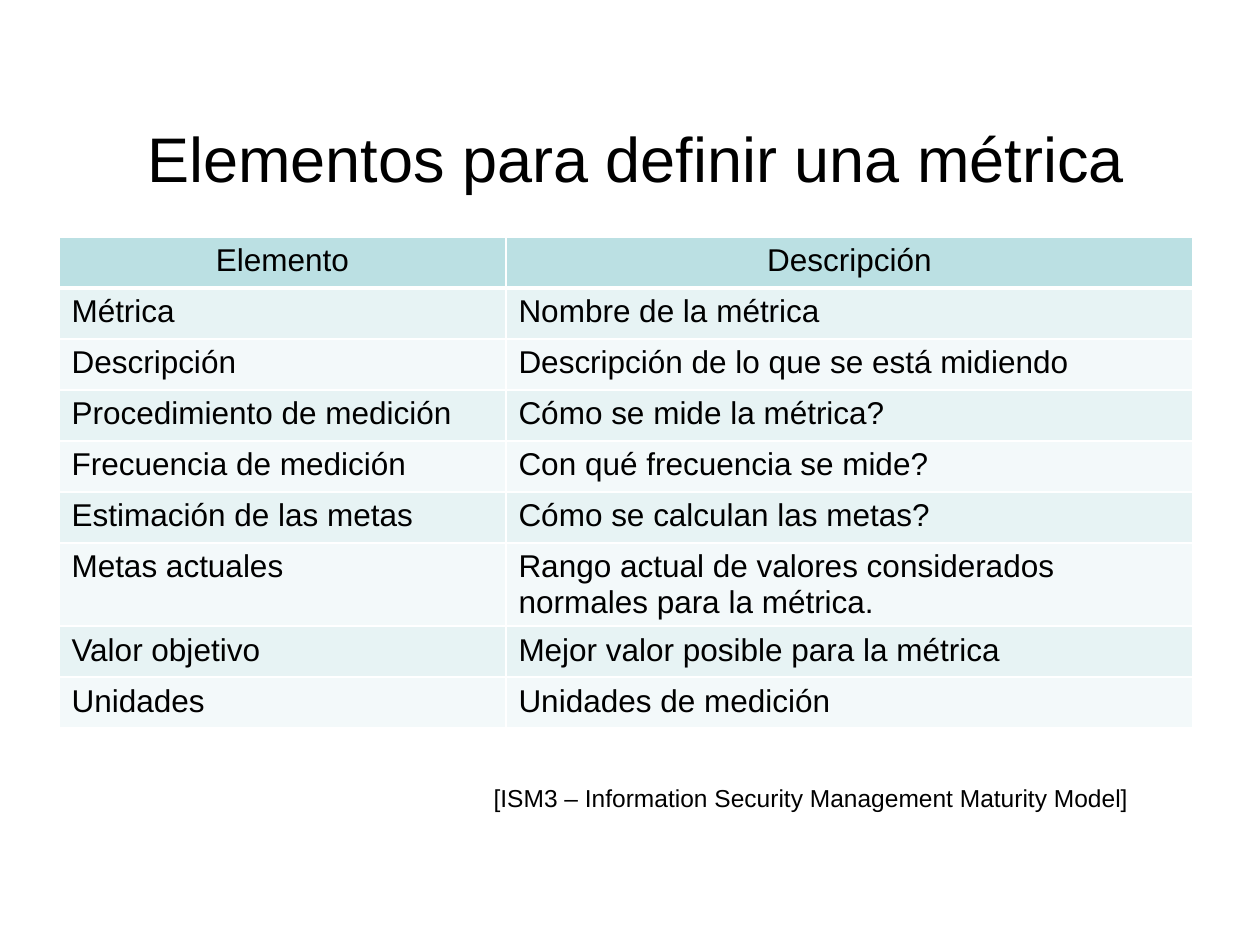
from lxml import etree
from pptx import Presentation
from pptx.dml.color import RGBColor
from pptx.enum.text import MSO_ANCHOR, PP_ALIGN
from pptx.oxml.ns import qn
from pptx.util import Emu, Pt

LEFT, CENTER, RIGHT = PP_ALIGN.LEFT, PP_ALIGN.CENTER, PP_ALIGN.RIGHT
MIDDLE = MSO_ANCHOR.MIDDLE
EMU_PER_PX = 914400 / 126
FONT = "Arial"
BLACK, WHITE = "000000", "FFFFFF"
HEADER_FILL = "BBE0E3"
BAND_FILLS = ("E7F3F4", "F3F9FA")
COLUMN_WIDTHS = (447, 687)
ROW_HEIGHT = 51
ROWS = (
    ("Elemento", "Descripción"),
    ("Métrica", "Nombre de la métrica"),
    ("Descripción", "Descripción de lo que se está midiendo"),
    ("Procedimiento de medición", "Cómo se mide la métrica?"),
    ("Frecuencia de medición", "Con qué frecuencia se mide?"),
    ("Estimación de las metas", "Cómo se calculan las metas?"),
    ("Metas actuales", "Rango actual de valores considerados normales para la métrica."),
    ("Valor objetivo", "Mejor valor posible para la métrica"),
    ("Unidades", "Unidades de medición"),
)


def px(length):
    """Turn px into EMU."""
    return Emu(round(length * EMU_PER_PX))


def color(hex_string):
    """Turn a hex string into a colour."""
    return RGBColor.from_string(hex_string)


def write_text(text_frame, text, size, alignment):
    """Write one formatted run into the first paragraph."""
    text_frame.word_wrap = True
    paragraph = text_frame.paragraphs[0]
    paragraph.alignment = alignment
    run = paragraph.add_run()
    run.text = text
    run.font.name = FONT
    run.font.size = Pt(size)
    run.font.color.rgb = color(BLACK)


def set_borders(cell, bottom_width):
    """Draw white borders around a cell."""
    properties = cell._tc.get_or_add_tcPr()
    widths = {"a:lnL": 1, "a:lnR": 1, "a:lnT": 1, "a:lnB": bottom_width}
    for index, (tag, width) in enumerate(widths.items()):
        line = etree.Element(qn(tag), w=str(Pt(width)))
        fill = etree.SubElement(line, qn("a:solidFill"))
        etree.SubElement(fill, qn("a:srgbClr"), val=WHITE)
        properties.insert(index, line)


def add_title(slide, text, left, top, width, height):
    """Place and fill the title placeholder."""
    title = slide.shapes.title
    title.left, title.top, title.width, title.height = map(px, (left, top, width, height))
    title.text_frame.vertical_anchor = MIDDLE
    write_text(title.text_frame, text, 36, CENTER)


def add_metric_table(slide, left, top):
    """Add the banded table of metric elements."""
    frame = slide.shapes.add_table(
        len(ROWS), len(COLUMN_WIDTHS), px(left), px(top),
        px(sum(COLUMN_WIDTHS)), px(ROW_HEIGHT * len(ROWS)))
    table = frame.table
    for column, width in zip(table.columns, COLUMN_WIDTHS):
        column.width = px(width)
    for row_index, texts in enumerate(ROWS):
        header = row_index == 0
        table.rows[row_index].height = px(ROW_HEIGHT)
        for column_index, text in enumerate(texts):
            cell = table.cell(row_index, column_index)
            cell.fill.solid()
            cell.fill.fore_color.rgb = color(
                HEADER_FILL if header else BAND_FILLS[(row_index - 1) % 2])
            set_borders(cell, 3 if header else 1)
            write_text(cell.text_frame, text, 18, CENTER if header else LEFT)


def add_citation(slide, text, left, top, width, height):
    """Add the right-aligned source line."""
    box = slide.shapes.add_textbox(*map(px, (left, top, width, height)))
    write_text(box.text_frame, text, 14, RIGHT)


def main():
    """Build and save the slide."""
    presentation = Presentation()
    presentation.slide_width, presentation.slide_height = px(1260), px(945)
    slide = presentation.slides.add_slide(presentation.slide_layouts[5])
    add_title(slide, "Elementos para definir una métrica", 69, 78, 1134, 158)
    add_metric_table(slide, 59, 237)
    add_citation(slide, "[ISM3 – Information Security Management Maturity Model]",
                 186, 777, 955, 81)
    presentation.save("out.pptx")


if __name__ == "__main__":
    main()
